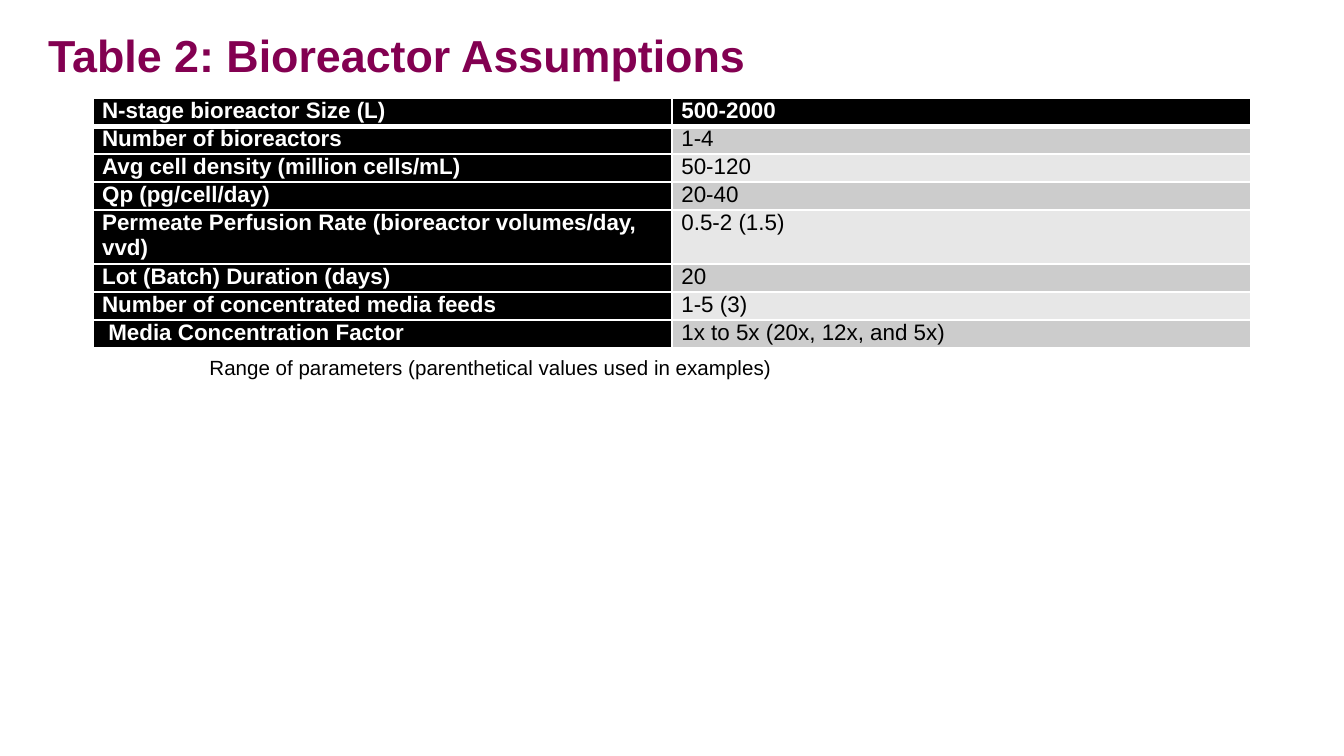
"""Build the bioreactor assumptions slide."""
from lxml.etree import SubElement
from pptx import Presentation
from pptx.dml.color import RGBColor
from pptx.enum.text import MSO_ANCHOR as Anchor
from pptx.oxml.ns import qn
from pptx.util import Inches, Pt

PLUM = RGBColor(0x83, 0x00, 0x51)
BLACK = RGBColor(0x00, 0x00, 0x00)
WHITE = RGBColor(0xFF, 0xFF, 0xFF)
GREY = RGBColor(0xCC, 0xCC, 0xCC)
PALE = RGBColor(0xE7, 0xE7, 0xE7)

TITLE = "Table 2: Bioreactor Assumptions"
CAPTION = "Range of parameters (parenthetical values used in examples)"
ASSUMPTIONS = [
    ("N-stage bioreactor Size (L)", "500-2000"),
    ("Number of bioreactors", "1-4"),
    ("Avg cell density (million cells/mL)", "50-120"),
    ("Qp (pg/cell/day)", "20-40"),
    ("Permeate Perfusion Rate (bioreactor volumes/day, vvd)", "0.5-2 (1.5)"),
    ("Lot (Batch) Duration (days)", "20"),
    ("Number of concentrated media feeds", "1-5 (3)"),
    (" Media Concentration Factor", "1x to 5x (20x, 12x, and 5x)"),
]
PAGE_WIDTH = 10
TWO_LINE_ROW = 4
TABLE_PLACE = LEFT, TOP, WIDTH, HEIGHT = 0.69, 0.73, 8.62, 1.86
TALL_HEIGHT = 0.4
ROW_HEIGHT = (HEIGHT - TALL_HEIGHT) / (len(ASSUMPTIONS) - 1)
CELL_FORMAT = {
    "margin_left": Inches(0.07), "margin_right": Inches(0.07),
    "margin_top": 0, "margin_bottom": 0,
}


def write(frame, text, size, color, bold=False):
    """Put one formatted span of text in a frame."""
    span = frame.paragraphs[0].add_run()
    span.text = text
    font_format = {"name": "Arial", "size": Pt(size), "bold": bold}
    for name, value in font_format.items():
        setattr(span.font, name, value)
    span.font.color.rgb = color


def add_text(page, place, text, size, color, bold=False, **frame_format):
    """Add a text box at a place given in inches."""
    frame = page.shapes.add_textbox(*map(Inches, place)).text_frame
    for name, value in frame_format.items():
        setattr(frame, name, value)
    write(frame, text, size, color, bold)
    return frame


def add_borders(cell, top, bottom):
    """Draw white cell borders with the given top and bottom widths."""
    properties = cell._tc.get_or_add_tcPr()
    widths = {"lnL": 1, "lnR": 1, "lnT": top, "lnB": bottom}
    for position, (side, width) in enumerate(widths.items()):
        line = SubElement(properties, qn(f"a:{side}"), w=str(Pt(width)))
        fill = SubElement(line, qn("a:solidFill"))
        SubElement(fill, qn("a:srgbClr"), val=str(WHITE))
        properties.insert(position, line)


def add_assumptions(page):
    """Add the table of parameters and their ranges."""
    table = page.shapes.add_table(len(ASSUMPTIONS), 2, *map(Inches, TABLE_PLACE)).table
    for column in table.columns:
        column.width = Inches(WIDTH / 2)
    for row, texts in enumerate(ASSUMPTIONS):
        table.rows[row].height = Inches(TALL_HEIGHT if row == TWO_LINE_ROW else ROW_HEIGHT)
        for column, text in enumerate(texts):
            cell = table.cell(row, column)
            heading = row == 0 or column == 0
            for name, value in CELL_FORMAT.items():
                setattr(cell, name, value)
            cell.fill.solid()
            cell.fill.fore_color.rgb = BLACK if heading else GREY if row % 2 else PALE
            add_borders(cell, 3 if row == 1 else 1, 3 if row == 0 else 1)
            write(cell.text_frame, text, 12, WHITE if heading else BLACK, heading)


def main():
    """Assemble and save the deck."""
    deck = Presentation()
    deck.slide_width, deck.slide_height = Inches(PAGE_WIDTH), Inches(PAGE_WIDTH * 9 / 16)
    page = deck.slides.add_slide(deck.slide_layouts[6])
    add_assumptions(page)
    title = add_text(page, (0.26, 0.16, 9.59, 0.55), TITLE, 24, PLUM, bold=True,
                     word_wrap=True, vertical_anchor=Anchor.MIDDLE)
    title.paragraphs[0].line_spacing = 0.85
    add_text(page, (1.46, 2.59, 4.41, 0.29), CAPTION, 11, BLACK, word_wrap=False)
    deck.save("out.pptx")


if __name__ == "__main__":
    main()
